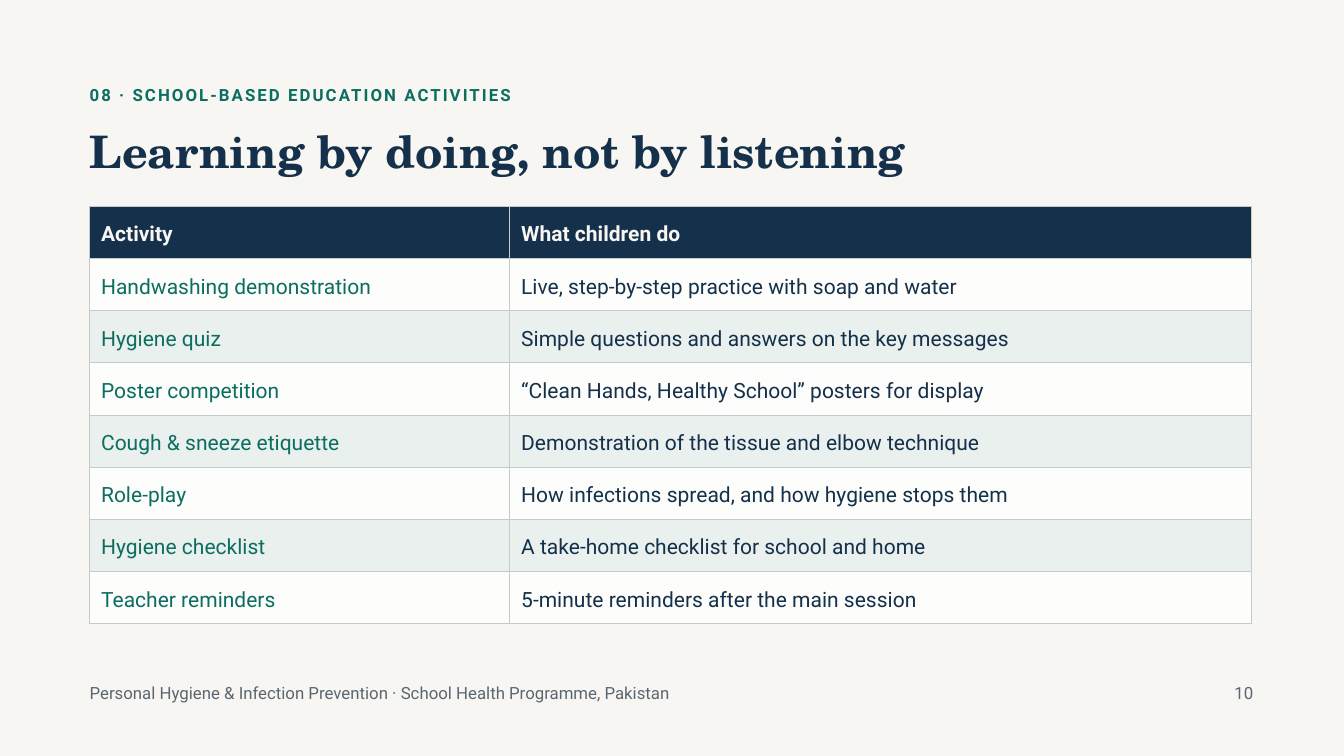
from lxml import etree
from pptx import Presentation
from pptx.dml.color import RGBColor
from pptx.enum.text import MSO_ANCHOR, MSO_AUTO_SIZE, PP_ALIGN
from pptx.oxml.ns import qn
from pptx.util import Cm, Pt

LEFT = PP_ALIGN.LEFT
TOP = MSO_ANCHOR.TOP
NO_AUTOFIT = MSO_AUTO_SIZE.NONE
TITLE_ONLY_LAYOUT = 5

SANS = "Roboto"
SERIF = "TeX Gyre Schola"
NAVY = "14304A"
GREEN = "0B6E60"
GREY = "5B6770"
PAPER = "F7F6F2"
WHITE_ROW = "FDFDFB"
TINTED_ROW = "EAF0EE"
BORDER = "C5CACD"

MARGIN = 3.39
CONTENT_WIDTH = 45.34
FOOTER_TOP = 25.68
LINE_HEIGHT = 1.32
COLUMN_WIDTHS = (15.88, 28.02)
ROW_HEIGHT = 1.9
CELL_INSET = 0.43

HEADINGS = ("Activity", "What children do")
ACTIVITIES = (
    ("Handwashing demonstration", "Live, step-by-step practice with soap and water"),
    ("Hygiene quiz", "Simple questions and answers on the key messages"),
    ("Poster competition", "“Clean Hands, Healthy School” posters for display"),
    ("Cough & sneeze etiquette", "Demonstration of the tissue and elbow technique"),
    ("Role-play", "How infections spread, and how hygiene stops them"),
    ("Hygiene checklist", "A take-home checklist for school and home"),
    ("Teacher reminders", "5-minute reminders after the main session"),
)


def color(hex_value):
    return RGBColor.from_string(hex_value)


def write_text(text_frame, text, size, hex_color, line_spacing, font=SANS, bold=False):
    text_frame.text = text
    paragraph = text_frame.paragraphs[0]
    paragraph.alignment = LEFT
    paragraph.line_spacing = Pt(line_spacing)
    run_font = paragraph.runs[0].font
    run_font.name = font
    run_font.size = Pt(size)
    run_font.bold = bold
    run_font.color.rgb = color(hex_color)
    return run_font


def set_up_frame(text_frame):
    """Wrap from the top left corner, with no insets and no resizing."""
    text_frame.word_wrap = True
    text_frame.auto_size = NO_AUTOFIT
    text_frame.vertical_anchor = TOP
    text_frame.margin_left = text_frame.margin_right = 0
    text_frame.margin_top = text_frame.margin_bottom = 0


def add_title(slide, text):
    title = slide.shapes.title
    title.left, title.top = Cm(MARGIN), Cm(4.78)
    title.width, title.height = Cm(CONTENT_WIDTH), Cm(1.88)
    set_up_frame(title.text_frame)
    write_text(title.text_frame, text, 48, NAVY, 55.2, SERIF, True)


def add_label(slide, text, left, top, width, hex_color, bold=False):
    box = slide.shapes.add_textbox(Cm(left), Cm(top), Cm(width), Cm(LINE_HEIGHT))
    set_up_frame(box.text_frame)
    return write_text(box.text_frame, text, 18, hex_color, 25.2, bold=bold)


def track(font, points):
    """Widen the letter spacing."""
    font._element.set("spc", str(round(points * 100)))


def add_borders(cell):
    properties = cell._tc.get_or_add_tcPr()
    for side in ("a:lnL", "a:lnR", "a:lnT", "a:lnB"):
        line = etree.SubElement(properties, qn(side), w=str(Pt(1)))
        fill = etree.SubElement(line, qn("a:solidFill"))
        etree.SubElement(fill, qn("a:srgbClr"), val=BORDER)


def fill_cell(cell, text, text_color, background, bold):
    cell.margin_left = cell.margin_right = Cm(CELL_INSET)
    cell.margin_top = cell.margin_bottom = Cm(CELL_INSET)
    cell.vertical_anchor = TOP
    add_borders(cell)
    cell.fill.solid()
    cell.fill.fore_color.rgb = color(background)
    write_text(cell.text_frame, text, 22.5, text_color, 31.5, bold=bold)


def add_activity_table(slide):
    rows = (HEADINGS, *ACTIVITIES)
    table = slide.shapes.add_table(
        len(rows), len(COLUMN_WIDTHS), Cm(MARGIN), Cm(7.8),
        Cm(sum(COLUMN_WIDTHS)), Cm(ROW_HEIGHT * len(rows)),
    ).table
    for column, width in zip(table.columns, COLUMN_WIDTHS):
        column.width = Cm(width)
    for row_index, texts in enumerate(rows):
        table.rows[row_index].height = Cm(ROW_HEIGHT)
        is_header = row_index == 0
        if is_header:
            background, text_colors = NAVY, (PAPER, PAPER)
        else:
            background = WHITE_ROW if row_index % 2 else TINTED_ROW
            text_colors = (GREEN, NAVY)
        for column_index, (text, text_color) in enumerate(zip(texts, text_colors)):
            cell = table.cell(row_index, column_index)
            fill_cell(cell, text, text_color, background, is_header)


def main():
    presentation = Presentation()
    presentation.slide_width, presentation.slide_height = Cm(50.8), Cm(28.58)
    slide = presentation.slides.add_slide(presentation.slide_layouts[TITLE_ONLY_LAYOUT])
    slide.background.fill.solid()
    slide.background.fill.fore_color.rgb = color(PAPER)

    section_font = add_label(slide, "08 · SCHOOL-BASED EDUCATION ACTIVITIES",
                             MARGIN, 3.07, CONTENT_WIDTH, GREEN, bold=True)
    track(section_font, 2.2)
    add_title(slide, "Learning by doing, not by listening")
    add_activity_table(slide)
    add_label(slide, "Personal Hygiene & Infection Prevention · School Health Programme, Pakistan",
              MARGIN, FOOTER_TOP, 22.86, GREY)
    add_label(slide, "10", 46.66, FOOTER_TOP, 0.97, GREY)

    presentation.save("out.pptx")


if __name__ == "__main__":
    main()
